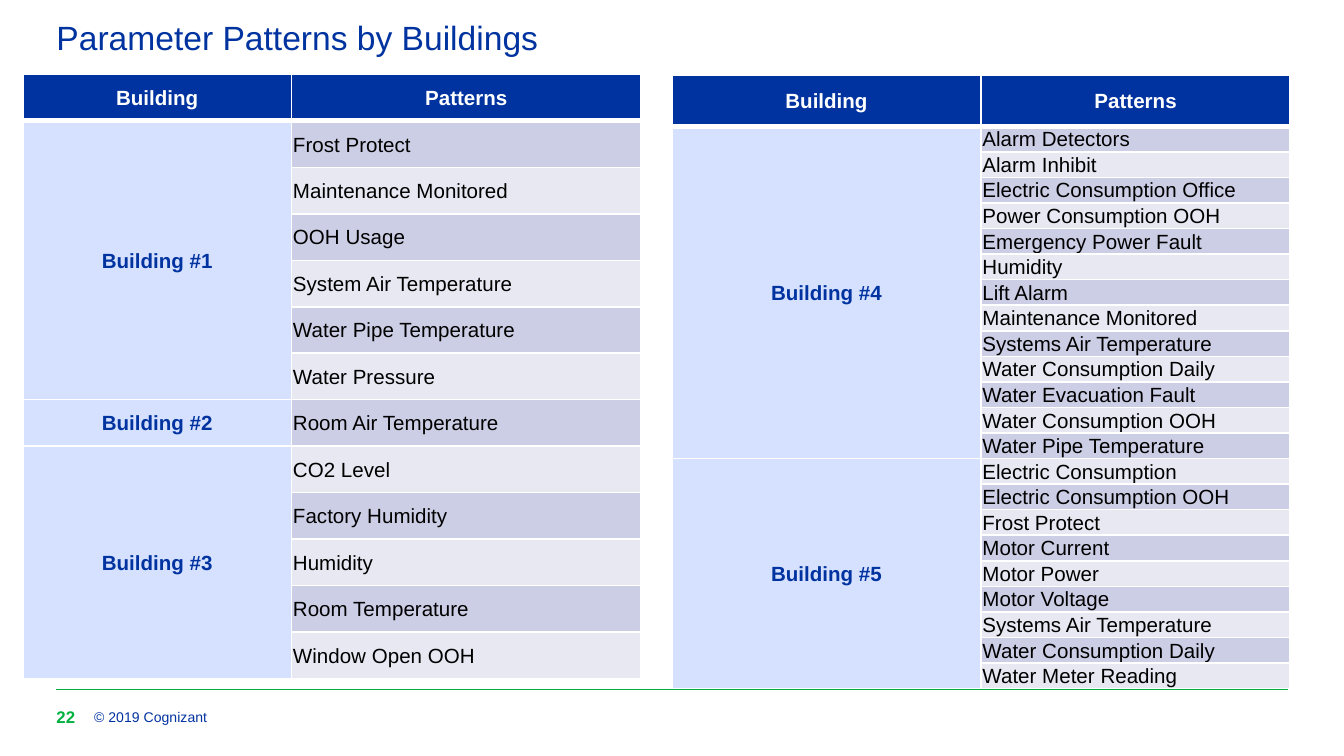
from dataclasses import dataclass

from lxml import etree
from pptx import Presentation
from pptx.dml.color import RGBColor
from pptx.enum import shapes, text
from pptx.oxml import ns
from pptx.util import Inches, Pt

NAVY = RGBColor(0x00, 0x33, 0xA0)
GREEN = RGBColor(0x00, 0xB1, 0x40)
PALE_BLUE = RGBColor(0xD5, 0xE1, 0xFF)
BANDS = (RGBColor(0xCC, 0xCE, 0xE5), RGBColor(0xE7, 0xE8, 0xF2))
WHITE = RGBColor(0xFF, 0xFF, 0xFF)
BLACK = RGBColor(0x00, 0x00, 0x00)
FONT = "Arial"
HEADINGS = ("Building", "Patterns")


@dataclass(frozen=True)
class Building:
    name: str
    patterns: tuple[str, ...]


@dataclass(frozen=True)
class PatternTable:
    left: float
    top: float
    height: float
    header_height: float
    column_widths: tuple[float, float]
    buildings: tuple[Building, ...]


@dataclass(frozen=True)
class FooterItem:
    label: str
    left: float
    width: float
    size: float
    color: RGBColor
    bold: bool


TABLES = (
    PatternTable(0.17, 0.55, 4.5, 0.35, (2, 2.6), (
        Building("Building #1", (
            "Frost Protect", "Maintenance Monitored", "OOH Usage",
            "System Air Temperature", "Water Pipe Temperature",
            "Water Pressure")),
        Building("Building #2", ("Room Air Temperature",)),
        Building("Building #3", (
            "CO2 Level", "Factory Humidity", "Humidity",
            "Room Temperature", "Window Open OOH")),
    )),
    PatternTable(5, 0.56, 4.57, 0.38, (2.3, 2.3), (
        Building("Building #4", (
            "Alarm Detectors", "Alarm Inhibit",
            "Electric Consumption Office", "Power Consumption OOH",
            "Emergency Power Fault", "Humidity", "Lift Alarm",
            "Maintenance Monitored", "Systems Air Temperature",
            "Water Consumption Daily", "Water Evacuation Fault",
            "Water Consumption OOH", "Water Pipe Temperature")),
        Building("Building #5", (
            "Electric Consumption", "Electric Consumption OOH",
            "Frost Protect", "Motor Current", "Motor Power",
            "Motor Voltage", "Systems Air Temperature",
            "Water Consumption Daily", "Water Meter Reading")),
    )),
)

FOOTER = (
    FooterItem("© 2019 Cognizant", 0.7, 5, 7.5, NAVY, False),
    FooterItem("22", 0.42, 0.25, 9, GREEN, True),
)


def add_run(paragraph, words: str, size: float, color: RGBColor,
            bold: bool = False) -> None:
    run = paragraph.add_run()
    run.text = words
    run.font.name = FONT
    run.font.size = Pt(size)
    run.font.bold = bold
    run.font.color.rgb = color


def clear_margins(frame) -> None:
    frame.margin_left = frame.margin_right = 0
    frame.margin_top = frame.margin_bottom = 0


def add_title(slide, words: str) -> None:
    title = slide.shapes.title
    title.left, title.top = Inches(0.42), Inches(0.16)
    title.width, title.height = Inches(9.17), Inches(0.43)
    frame = title.text_frame
    clear_margins(frame)
    frame.auto_size = text.MSO_AUTO_SIZE.NONE
    frame.vertical_anchor = text.MSO_ANCHOR.TOP
    paragraph = frame.paragraphs[0]
    paragraph.alignment = text.PP_ALIGN.LEFT
    paragraph.line_spacing = 0.9
    add_run(paragraph, words, 18, NAVY)


def add_footer_rule(slide) -> None:
    rule = slide.shapes.add_connector(
        shapes.MSO_CONNECTOR.STRAIGHT,
        Inches(0.42), Inches(5.13), Inches(9.58), Inches(5.13))
    rule.line.color.rgb = GREEN
    rule.line.width = Pt(0.5)
    etree.SubElement(rule.element.spPr, ns.qn("a:effectLst"))


def add_footer_item(slide, item: FooterItem) -> None:
    box = slide.shapes.add_textbox(
        Inches(item.left), Inches(5.25), Inches(item.width), Inches(0.17))
    frame = box.text_frame
    clear_margins(frame)
    frame.word_wrap = True
    frame.vertical_anchor = text.MSO_ANCHOR.MIDDLE
    add_run(frame.paragraphs[0], item.label, item.size, item.color, item.bold)


def set_borders(cell, top: float, bottom: float) -> None:
    properties = cell._tc.get_or_add_tcPr()
    for side, width in (("L", 1), ("R", 1), ("T", top), ("B", bottom)):
        border = etree.SubElement(
            properties, ns.qn(f"a:ln{side}"), w=str(Pt(width)))
        fill = etree.SubElement(border, ns.qn("a:solidFill"))
        etree.SubElement(fill, ns.qn("a:srgbClr"), val=str(WHITE))


def format_cell(cell, row: int, fill: RGBColor) -> None:
    set_borders(cell, 3 if row == 1 else 1, 3 if row == 0 else 1)
    cell.fill.solid()
    cell.fill.fore_color.rgb = fill
    cell.margin_left = cell.margin_right = cell.margin_top = Inches(0.01)
    cell.margin_bottom = 0
    cell.vertical_anchor = text.MSO_ANCHOR.MIDDLE


def write_cell(cell, words: str, color: RGBColor, heading: bool) -> None:
    paragraph = cell.text_frame.paragraphs[0]
    paragraph.alignment = (
        text.PP_ALIGN.CENTER if heading else text.PP_ALIGN.LEFT)
    add_run(paragraph, words, 11, color, heading)


def add_pattern_table(slide, layout: PatternTable) -> None:
    pattern_count = sum(len(b.patterns) for b in layout.buildings)
    table = slide.shapes.add_table(
        pattern_count + 1, 2, Inches(layout.left), Inches(layout.top),
        Inches(sum(layout.column_widths)), Inches(layout.height)).table
    for column, width in zip(table.columns, layout.column_widths):
        column.width = Inches(width)
    row_height = (layout.height - layout.header_height) / pattern_count
    for index, row in enumerate(table.rows):
        row.height = Inches(row_height if index else layout.header_height)

    for column, heading in enumerate(HEADINGS):
        format_cell(table.cell(0, column), 0, NAVY)
        write_cell(table.cell(0, column), heading, WHITE, True)

    row = 1
    for building in layout.buildings:
        first = row
        for pattern in building.patterns:
            format_cell(table.cell(row, 0), row, PALE_BLUE)
            format_cell(table.cell(row, 1), row, BANDS[(row - 1) % 2])
            write_cell(table.cell(row, 1), pattern, BLACK, False)
            row += 1
        if row - first > 1:
            table.cell(first, 0).merge(table.cell(row - 1, 0))
        write_cell(table.cell(first, 0), building.name, NAVY, True)


def main() -> None:
    deck = Presentation()
    deck.slide_width, deck.slide_height = Inches(10), Inches(45 / 8)
    slide = deck.slides.add_slide(deck.slide_layouts[5])
    add_footer_rule(slide)
    add_title(slide, "Parameter Patterns by Buildings")
    for pattern_table in TABLES:
        add_pattern_table(slide, pattern_table)
    for item in FOOTER:
        add_footer_item(slide, item)
    deck.save("out.pptx")


if __name__ == "__main__":
    main()
